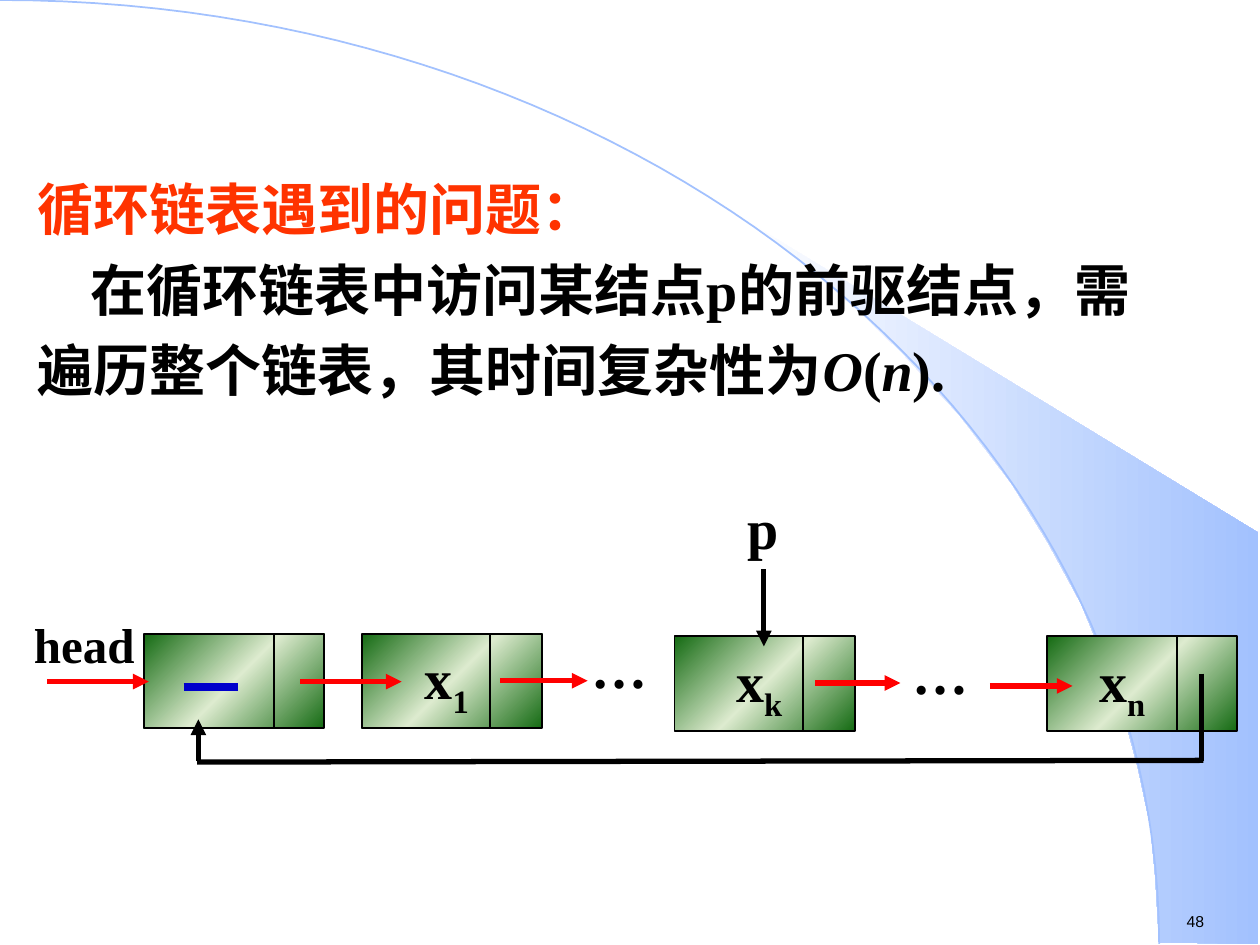
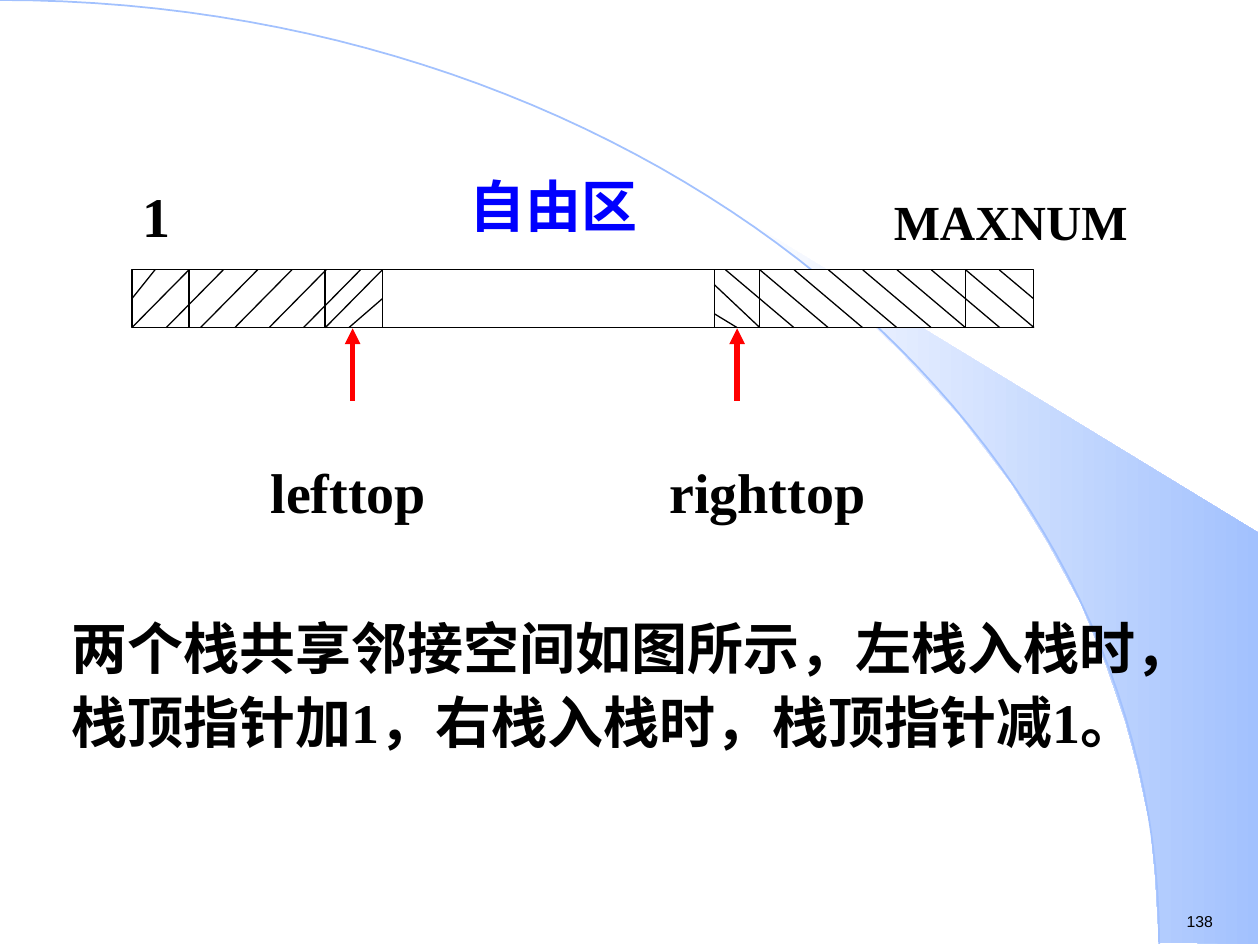
from lxml import etree
from pptx import Presentation
from pptx.dml.color import RGBColor
from pptx.enum.shapes import MSO_CONNECTOR, MSO_SHAPE
from pptx.enum.text import PP_ALIGN
from pptx.oxml.ns import qn
from pptx.util import Pt

RECT = MSO_SHAPE.RECTANGLE
STRAIGHT = MSO_CONNECTOR.STRAIGHT
LEFT, CENTER = PP_ALIGN.LEFT, PP_ALIGN.CENTER

BLACK, WHITE, RED, BLUE = "000000", "FFFFFF", "FF0000", "0000FF"
ORANGE, NAVY, SKY = "FF3300", "0000CC", "A2C1FE"
NODE_STOPS = ((0, "156B13"), (50, "DDEBCF"), (100, "156B13"))
SWEEP_STOPS = ((0, WHITE), (100, SKY))
SWEEP = [(662.4, 538.6), (719.3, 539.3), (719.3, 304.6), (424.1, 124.6),
         (449.3, 143.3), (470.2, 159.8), (493.2, 180), (515.5, 201.6),
         (548.6, 237.6), (578.2, 276.5), (599, 310.3), (617.8, 344.9),
         (632.2, 380.2), (643, 411.8), (650.2, 438.5), (657.4, 472.3),
         (660.2, 501.1), (662.4, 538.6)]
ARC = ((0, 0), (365.8, 0), (662.4, 241.2), (662.4, 539.3))
ARC_STEPS = 60


def rgb(hex_color):
    return RGBColor.from_string(hex_color)


def bezier(points, steps):
    """Points along a cubic curve."""
    curve = []
    for i in range(steps + 1):
        t = i / steps
        weights = ((1 - t) ** 3, 3 * t * (1 - t) ** 2, 3 * t * t * (1 - t), t ** 3)
        curve.append(tuple(sum(w * pt[axis] for w, pt in zip(weights, points))
                           for axis in (0, 1)))
    return curve


def gradient(sp, stops, angle):
    sp.fill.gradient()
    grad = sp._element.spPr.find(qn("a:gradFill"))
    grad.clear()
    gs_list = etree.SubElement(grad, qn("a:gsLst"))
    for pos, color in stops:
        gs = etree.SubElement(gs_list, qn("a:gs"), pos=str(pos * 1000))
        etree.SubElement(gs, qn("a:srgbClr"), val=color)
    etree.SubElement(grad, qn("a:lin"), ang=str(angle * 60000), scaled="0")


class Deck:
    def __init__(self):
        self.prs = Presentation()
        self.prs.slide_width, self.prs.slide_height = Pt(720), Pt(540)
        self.font = "Times New Roman"
        self.s = None

    def slide(self, number):
        """Start a slide with the blue sweep and its number."""
        self.s = self.prs.slides.add_slide(self.prs.slide_layouts[6])
        sweep = self.outline(SWEEP, close=True)
        gradient(sweep, SWEEP_STOPS, 0)
        sweep.line.fill.background()
        arc = self.outline(bezier(ARC, ARC_STEPS), close=False)
        arc.fill.background()
        arc.line.color.rgb = rgb(SKY)
        arc.line.width = Pt(1)
        self.text((671, 517.7, 49, 18), str(number), size=9, font="Arial", bold=False)

    def outline(self, points, close):
        points = [(Pt(x), Pt(y)) for x, y in points]
        builder = self.s.shapes.build_freeform(*points[0])
        builder.add_line_segments(points[1:], close=close)
        sp = builder.convert_to_shape()
        sp.shadow.inherit = False
        return sp

    def rect(self, box, width):
        sp = self.s.shapes.add_shape(RECT, *map(Pt, box))
        sp.shadow.inherit = False
        sp.fill.solid()
        sp.fill.fore_color.rgb = rgb(WHITE)
        sp.line.color.rgb = rgb(BLACK)
        sp.line.width = Pt(width)
        return sp

    def line(self, x1, y1, x2, y2, color=BLACK, width=0.75, arrow=False):
        c = self.s.shapes.add_connector(STRAIGHT, Pt(x1), Pt(y1), Pt(x2), Pt(y2))
        c.line.color.rgb = rgb(color)
        c.line.width = Pt(width)
        if arrow:
            etree.SubElement(c.line._get_or_add_ln(), qn("a:tailEnd"), type="triangle")
        etree.SubElement(c._element.spPr, qn("a:effectLst"))

    def text(self, box, *paragraphs, size=32, font=None, color=BLACK, bold=True,
             align=LEFT, spacing=1.0, inset=True, indent=0):
        """Each paragraph is a string or a list of (text, run format) pairs.

        The indent is for the first line of every paragraph but the first.
        """
        tf = self.s.shapes.add_textbox(*map(Pt, box)).text_frame
        tf.word_wrap = True
        tf.margin_left = tf.margin_right = Pt(7.2 if inset else 0)
        tf.margin_top = tf.margin_bottom = Pt(3.6 if inset else 0)
        for i, runs in enumerate(paragraphs):
            p = tf.add_paragraph() if i else tf.paragraphs[0]
            p.alignment, p.line_spacing = align, spacing
            if i and indent:
                p._p.get_or_add_pPr().set("indent", str(Pt(indent)))
            for words, look in [(runs, {})] if isinstance(runs, str) else runs:
                r = p.add_run()
                r.text = words
                r.font.name, r.font.size = font or self.font, Pt(size)
                r.font.bold, r.font.italic = bold, look.get("italic", False)
                r.font.color.rgb = rgb(look.get("color", color))
                if "baseline" in look:
                    r._r.get_or_add_rPr().set("baseline", str(look["baseline"] * 1000))

    def node(self, x, y, width, split, subscript=None, label_x=0):
        """A list node: data field, link field and an optional x label."""
        height = 54
        gradient(self.rect((x, y, width, height), 1), NODE_STOPS, 45)
        self.line(split, y, split, y + height, width=1)
        if subscript:
            self.text((label_x, y + 6.1, 74.2, 42.5),
                      [("x", {}), (subscript, {"baseline": -25})],
                      align=CENTER, spacing=0.8)

    def mark(self, x, y, words):
        self.text((x, y, 38.2, 26.6), words, align=CENTER, spacing=0.7, inset=False)


def circular_list(deck):
    deck.slide(48)
    deck.text((14.4, 88.6, 663.1, 155.5),
              [("循环链表遇到的问题：", {"color": ORANGE})],
              [("在循环链表中访问某结点p的前驱结点，需遍历整个链表，其时间复杂性为", {}),
               ("O", {"italic": True}), ("(", {}),
               ("n", {"italic": True}), (").", {})],
              spacing=1.2, indent=30)

    deck.text((19.4, 357.8, 62.6, 26.6), "head", size=28, spacing=0.8, inset=False)
    deck.node(82.3, 362.2, 103, 156.6)
    deck.line(105, 392.4, 136, 392.4, NAVY, 4.5)
    deck.node(206.8, 362.2, 103, 280.1, "1", 218.2)
    deck.node(385.5, 363.6, 103, 458.8, "k", 396.7)
    deck.node(598.4, 363.6, 108.6, 672.6, "n", 604.1)
    deck.mark(334.8, 372.2, "…")
    deck.mark(518.4, 375.1, "…")
    deck.mark(416.9, 292.3, "p")

    for x1, x2, y in ((27, 85, 389.5), (171.5, 229.5, 389.5), (285.8, 335.8, 389),
                      (466, 514.5, 390.3), (565.6, 612.9, 392)):
        deck.line(x1, y, x2, y, RED, 3, arrow=True)
    deck.line(436.5, 325.4, 436.5, 369.4, width=3, arrow=True)

    back_x, head_x, loop_y = 686.8, 113.4, 435
    deck.line(back_x, 385, back_x, loop_y, width=3)
    deck.line(back_x + 0.8, loop_y - 0.5, head_x - 0.8, loop_y + 0.5, width=3)
    deck.line(head_x, loop_y, head_x, 411.1, width=3, arrow=True)


def shared_stacks(deck):
    deck.slide(138)
    left, right, top, bottom = 75.4, 590.6, 154.2, 187.2
    deck.rect((left, top, right - left, bottom - top), 0.75)
    left_end, right_start = 218.5, 408.2
    for x in (108, 185.8, left_end, right_start, 434.2, 551.8):
        deck.line(x, top, x, bottom)

    step, left_run, right_run = 19.6, 32.6, 39.1
    left_tops = [108 + step * i for i in range(6)] + [left_end]
    for x in left_tops:
        deck.line(x, top, x - left_run, bottom)
    for i in range(8):
        x = 414.6 + step * i
        deck.line(x, top, x + right_run, bottom)
    middle = (top + bottom) / 2
    for corner in ((88.6, top, left, middle), (left_end, middle, 199.4, bottom),
                   (571, top, right, middle), (right_start, 162.7, 434.2, bottom),
                   (right_start, 179.3, 421.2, bottom)):
        deck.line(*corner)

    for x in (201.5, 421.2):
        deck.line(x, 229, x, bottom + 0.5, RED, 3, arrow=True)

    deck.text((257.8, 94.3, 117.4, 39.6), "自由区", color=BLUE, align=CENTER)
    for box, words, size in (((146.9, 257.8, 104.4, 57.6), "lefttop", 32),
                             ((369.4, 257.8, 138.2, 52.6), "righttop", 32),
                             ((59.8, 100.1, 59, 45.4), "1", 32),
                             ((477.4, 105.8, 200.2, 51.1), "MAXNUM", 28)):
        deck.text(box, words, size=size, align=CENTER)
    deck.text((33.8, 343.4, 658.1, 92.2),
              "两个栈共享邻接空间如图所示，左栈入栈时，栈顶指针加1，右栈入栈时，栈顶指针减1。",
              spacing=1.1)


def main():
    deck = Deck()
    circular_list(deck)
    shared_stacks(deck)
    deck.prs.save("out.pptx")


if __name__ == "__main__":
    main()
